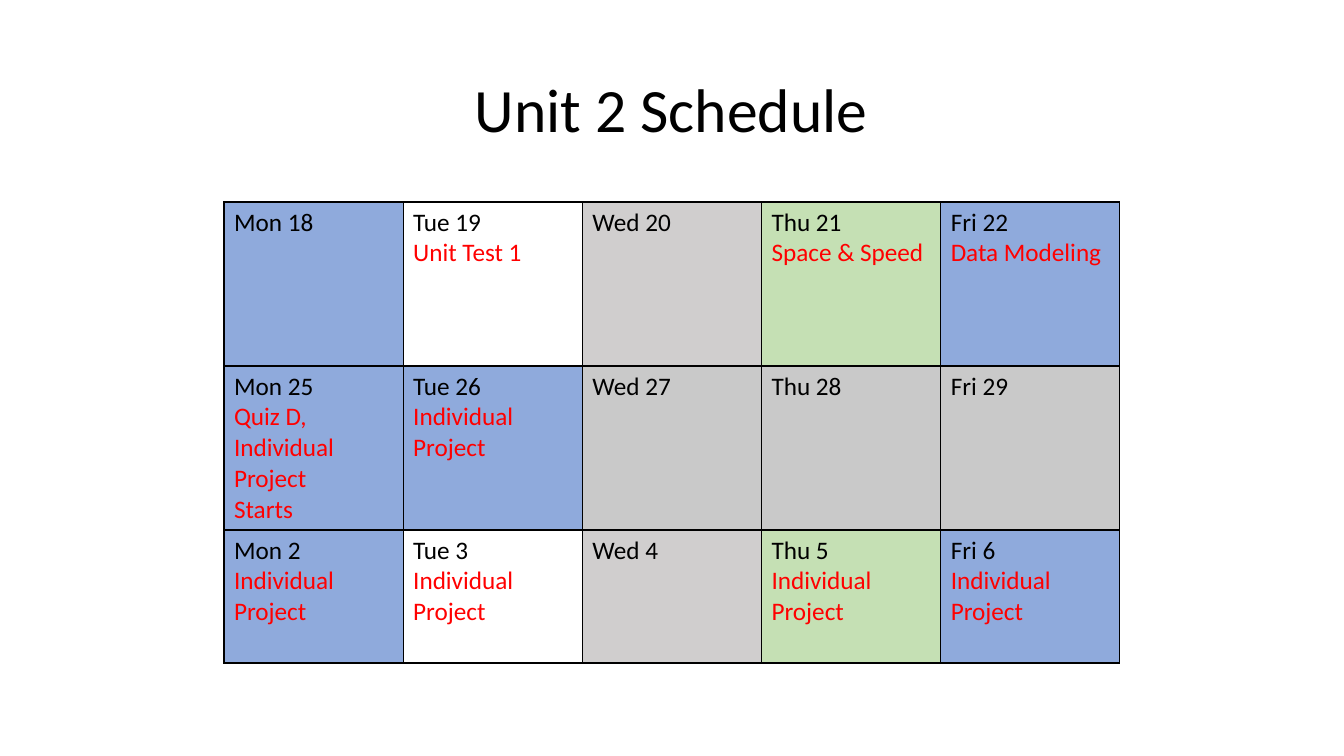
"""Builds the Unit 2 schedule slide with a coloured three-week calendar."""
from dataclasses import dataclass

from lxml import etree
from pptx import Presentation
from pptx.dml.color import RGBColor
from pptx.enum.text import MSO_ANCHOR, PP_ALIGN
from pptx.oxml.ns import qn
from pptx.util import Emu, Pt

MIDDLE = MSO_ANCHOR.MIDDLE
CENTER = PP_ALIGN.CENTER
WIDE, HIGH = 1344, 756


@dataclass(frozen=True)
class Theme:
    font: str = "Calibri"
    head: int = 44
    body: int = 18
    rule: int = 1
    ink: str = "000000"
    task: str = "FF0000"
    blue: str = "8FAADC"
    white: str = "FFFFFF"
    gray: str = "D0CECE"
    off: str = "C9C9C9"
    green: str = "C5E0B4"


def px(n):
    return Emu(n * 12192000 // WIDE)


class Deck:
    def __init__(self, theme):
        self.theme = theme
        self.file = Presentation()
        self.file.slide_width, self.file.slide_height = px(WIDE), px(HIGH)
        self.slide = self.file.slides.add_slide(self.file.slide_layouts[5])

    def text(self, para, words, size, color):
        run = para.add_run()
        run.text = words
        run.font.name = self.theme.font
        run.font.size = Pt(size)
        run.font.color.rgb = RGBColor.from_string(color)

    def title(self, words, left, top, width, height):
        box = self.slide.shapes.title
        box.left, box.top = px(left), px(top)
        box.width, box.height = px(width), px(height)
        box.text_frame.vertical_anchor = MIDDLE
        para = box.text_frame.paragraphs[0]
        para.alignment = CENTER
        para.line_spacing = 0.9
        self.text(para, words, self.theme.head, self.theme.ink)

    def border(self, cell):
        props = cell._tc.get_or_add_tcPr()
        for side in ("lnL", "lnR", "lnT", "lnB"):
            line = etree.SubElement(props, qn("a:" + side), w=str(Pt(self.theme.rule)))
            fill = etree.SubElement(line, qn("a:solidFill"))
            etree.SubElement(fill, qn("a:srgbClr"), val=self.theme.ink)

    def day(self, cell, fill, date, *tasks):
        self.border(cell)
        cell.fill.solid()
        cell.fill.fore_color.rgb = RGBColor.from_string(fill)
        frame = cell.text_frame
        self.text(frame.paragraphs[0], date, self.theme.body, self.theme.ink)
        for task in tasks:
            self.text(frame.add_paragraph(), task, self.theme.body, self.theme.task)

    def table(self, weeks, left, top, width, heights):
        count = len(weeks[0])
        frame = self.slide.shapes.add_table(
            len(weeks), count, px(left), px(top), px(width), px(sum(heights)))
        grid = frame.table
        grid.first_row = grid.horz_banding = False
        for row, height in zip(grid.rows, heights):
            row.height = px(height)
        for col in grid.columns:
            col.width = px(width) // count
        for r, week in enumerate(weeks):
            for c, day in enumerate(week):
                self.day(grid.cell(r, c), *day)


def main():
    t = Theme()
    work = "Individual Project"
    weeks = [
        [(t.blue, "Mon 18"),
         (t.white, "Tue 19", "Unit Test 1"),
         (t.gray, "Wed 20"),
         (t.green, "Thu 21", "Space & Speed"),
         (t.blue, "Fri 22", "Data Modeling")],
        [(t.blue, "Mon 25", "Quiz D, " + work, "Starts"),
         (t.blue, "Tue 26", work),
         (t.off, "Wed 27"),
         (t.off, "Thu 28"),
         (t.off, "Fri 29")],
        [(t.blue, "Mon 2", work),
         (t.white, "Tue 3", work),
         (t.gray, "Wed 4"),
         (t.green, "Thu 5", work),
         (t.blue, "Fri 6", work)],
    ]
    deck = Deck(t)
    deck.title("Unit 2 Schedule", 92, 40, 1159, 146)
    deck.table(weeks, 224, 202, 896, (164, 164, 133))
    deck.file.save("out.pptx")


if __name__ == "__main__":
    main()
